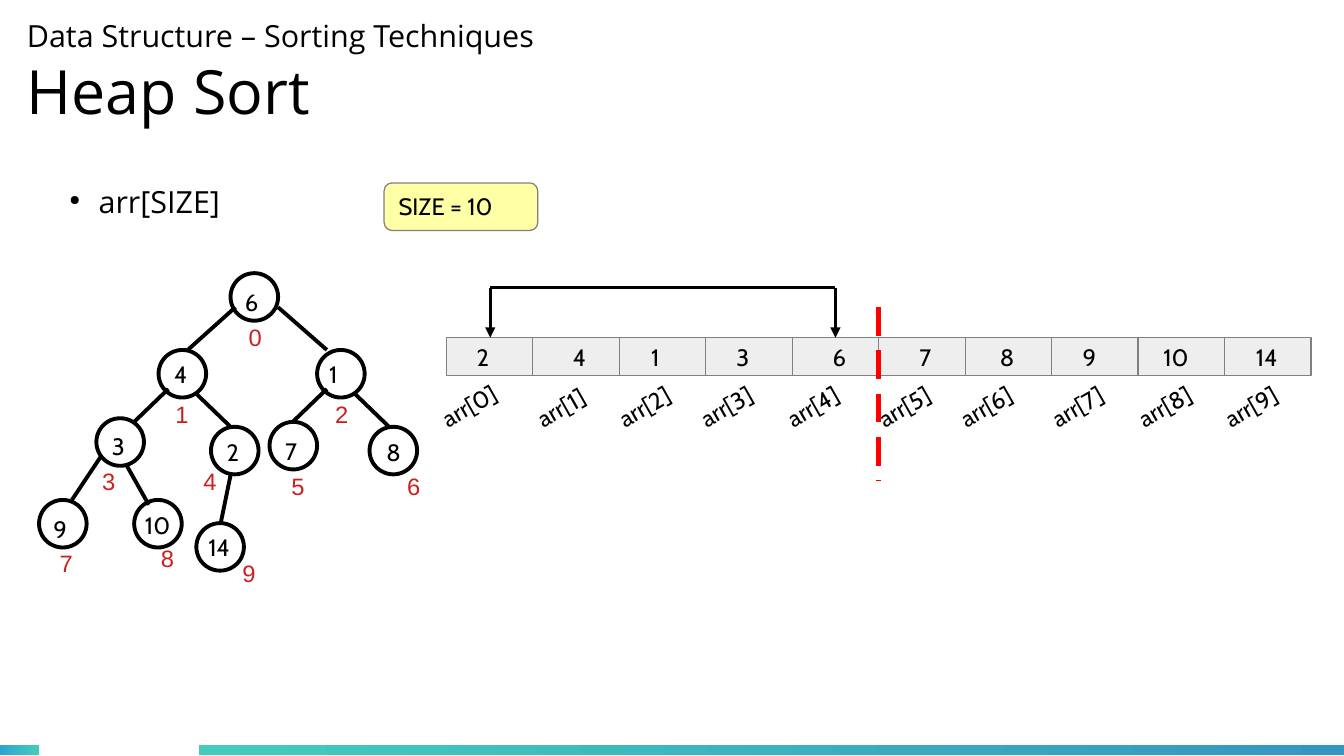
from lxml import etree
from pptx import Presentation
from pptx.dml.color import RGBColor
from pptx.enum.shapes import MSO_CONNECTOR, MSO_SHAPE
from pptx.enum.text import MSO_ANCHOR
from pptx.oxml.ns import qn
from pptx.util import Inches, Pt

RECTANGLE = MSO_SHAPE.RECTANGLE
ROUNDED = MSO_SHAPE.ROUNDED_RECTANGLE
OVAL = MSO_SHAPE.OVAL
STRAIGHT = MSO_CONNECTOR.STRAIGHT
TOP, MIDDLE = MSO_ANCHOR.TOP, MSO_ANCHOR.MIDDLE

COLORS = {
    "black": "000000", "white": "FFFFFF", "gray": "808080", "cell": "EEEEEE",
    "yellow": "FFFFA6", "index": "C9211E", "divider": "FF0000",
    "teal": "43CCBD", "sky": "30A2D2", "blue": "3497C1",
}

# Heap nodes in index order: value, circle corner, value corner, index corner
NODES = [
    ("6", (1.89, 2.24), (1.91, 2.31), (1.94, 2.6)),
    ("4", (1.3, 2.87), (1.33, 2.9), (1.34, 3.23)),
    ("1", (2.6, 2.87), (2.6, 2.9), (2.65, 3.23)),
    ("3", (0.79, 3.43), (0.82, 3.49), (0.74, 3.78)),
    ("2", (1.73, 3.5), (1.76, 3.54), (1.57, 3.78)),
    ("7", (2.21, 3.46), (2.24, 3.53), (2.29, 3.82)),
    ("8", (3.03, 3.5), (3.07, 3.54), (3.24, 3.82)),
    ("9", (0.32, 4.1), (0.34, 4.17), (0.39, 4.45)),
    ("10", (1.1, 4.1), (1.09, 4.14), (1.22, 4.41)),
    ("14", (1.61, 4.29), (1.61, 4.32), (1.89, 4.53)),
]
EDGES = [
    ((1.93, 2.52), (1.54, 2.87)), ((2.28, 2.52), (2.68, 2.87)),
    ((1.38, 3.19), (1.1, 3.46)), ((1.61, 3.23), (1.89, 3.5)),
    ((2.68, 3.19), (2.4, 3.46)), ((2.91, 3.23), (3.19, 3.5)),
    ((0.83, 3.74), (0.59, 4.1)), ((1.04, 3.82), (1.22, 4.14)),
    ((1.89, 3.9), (1.81, 4.29)),
]
# Array in index order: value, left of value, left of label
ARRAY = [
    ("2", 3.81, 3.51), ("4", 4.6, 4.29), ("1", 5.24, 4.96), ("3", 5.94, 5.63),
    ("6", 6.73, 6.34), ("7", 7.44, 7.09), ("8", 8.1, 7.76), ("9", 8.78, 8.51),
    ("10", 9.44, 9.22), ("14", 10.2, 9.93),
]
ARRAY_LEFT, ARRAY_TOP, ARRAY_WIDTH, CELL_HEIGHT = 3.66, 2.77, 7.09, 0.31
NODE_SIZE = 0.39
BARS = [(0, 0.32, "sky", "teal"), (1.63, 9.39, "teal", "blue")]
SWAP_LEFT, SWAP_RIGHT, SWAP_TOP = 4.02, 6.85, 2.36

presentation = Presentation()
presentation.slide_width = Inches(11.02)
presentation.slide_height = Inches(6.2)
slide = presentation.slides.add_slide(presentation.slide_layouts[6])


def color(name):
    return RGBColor.from_string(COLORS[name])


def add_box(kind, left, top, width, height, fill=None, line=None, weight=0):
    shape = slide.shapes.add_shape(
        kind, Inches(left), Inches(top), Inches(width), Inches(height))
    shape.shadow.inherit = False
    if fill:
        shape.fill.solid()
        shape.fill.fore_color.rgb = color(fill)
    if line:
        shape.line.color.rgb = color(line)
        shape.line.width = Pt(weight)
    else:
        shape.line.fill.background()
    return shape


def add_line(start, end, name="black", weight=0, arrow=False, dash=None):
    """Draw a line; dash is (dash, gap) in multiples of the line weight."""
    line = slide.shapes.add_connector(
        STRAIGHT, *(Inches(value) for value in (*start, *end)))
    line.line.color.rgb = color(name)
    line.line.width = Pt(weight)
    outline = line.line._get_or_add_ln()
    if dash:
        pattern = etree.SubElement(outline, qn("a:custDash"))
        etree.SubElement(pattern, qn("a:ds"),
                         d=str(dash[0] * 100000), sp=str(dash[1] * 100000))
    if arrow:
        etree.SubElement(outline, qn("a:tailEnd"), type="triangle")
    etree.SubElement(line._element.spPr, qn("a:effectLst"))


def add_text(text, left, top, width, height, font="Cabin", size=14, name="black",
             inset=(0.1, 0.05), anchor=TOP, rotation=0, bullet=False, last_size=None):
    """Add a text box; last_size applies to the text after a line break."""
    box = slide.shapes.add_textbox(
        Inches(left), Inches(top), Inches(width), Inches(height))
    box.rotation = rotation
    frame = box.text_frame
    frame.word_wrap = True
    frame.vertical_anchor = anchor
    frame.margin_left = frame.margin_right = Inches(inset[0])
    frame.margin_top = frame.margin_bottom = Inches(inset[1])
    paragraph = frame.paragraphs[0]
    if bullet:
        properties = paragraph._p.get_or_add_pPr()
        properties.set("marL", str(Inches(0.24)))
        properties.set("indent", str(-Inches(0.24)))
        etree.SubElement(properties, qn("a:buSzPct"), val="45000")
        etree.SubElement(properties, qn("a:buChar"), char="●")
    for number, part in enumerate(text.split("\n")):
        if number:
            paragraph.add_line_break()
        run = paragraph.add_run()
        run.text = part
        run.font.name = font
        run.font.size = Pt(last_size if number and last_size else size)
        run.font.color.rgb = color(name)


for left, width, first, last in BARS:
    bar = add_box(RECTANGLE, left, 6.12 - 0.01, width, 0.08)
    bar.top = Inches(6.12)
    bar.fill.gradient()
    bar.fill.gradient_angle = 0
    for stop, name in zip(bar.fill.gradient_stops, (first, last)):
        stop.color.rgb = color(name)
    bar.top = Inches(6.11)

add_text("Data Structure – Sorting Techniques\nHeap Sort", 0.22, 0.08, 7.68, 1.02,
         font="Open Sans", size=18, last_size=36, inset=(0, 0), anchor=MIDDLE)
add_text("arr[SIZE]", 0.47, 1.45, 1.63, 0.44, font="Open Sans", size=18, bullet=True)
add_box(ROUNDED, 3.15, 1.5, 1.26, 0.39, "yellow", "gray")
add_text("SIZE = 10", 3.17, 1.52, 1.2, 0.36)

for _, corner, _, _ in NODES:
    add_box(OVAL, *corner, NODE_SIZE, NODE_SIZE, "white", "black", 2.3)
for start, end in EDGES:
    add_line(start, end, weight=2.3)
for index, (value, _, value_corner, index_corner) in enumerate(NODES):
    add_text(value, *value_corner, 0.44, 0.36)
    add_text(str(index), *index_corner, 0.34, 0.32, font="Arial", name="index")

cell_width = ARRAY_WIDTH / len(ARRAY)
for index in range(len(ARRAY)):
    add_box(RECTANGLE, ARRAY_LEFT + index * cell_width, ARRAY_TOP,
            cell_width, CELL_HEIGHT, "cell", "gray")
for index, (value, value_left, label_left) in enumerate(ARRAY):
    add_text(value, value_left, 2.76, 0.44, 0.36)
    add_text(f"arr[{index}]", label_left, 3.11, 0.86, 0.39, rotation=330.4)

add_line((7.2, 2.52), (7.2, 3.94), "divider", 2.83, dash=(6, 3))
add_line((SWAP_LEFT, SWAP_TOP), (SWAP_RIGHT, SWAP_TOP))
for left in (SWAP_LEFT, SWAP_RIGHT):
    add_line((left, SWAP_TOP), (left, ARRAY_TOP), arrow=True)

presentation.save("out.pptx")
